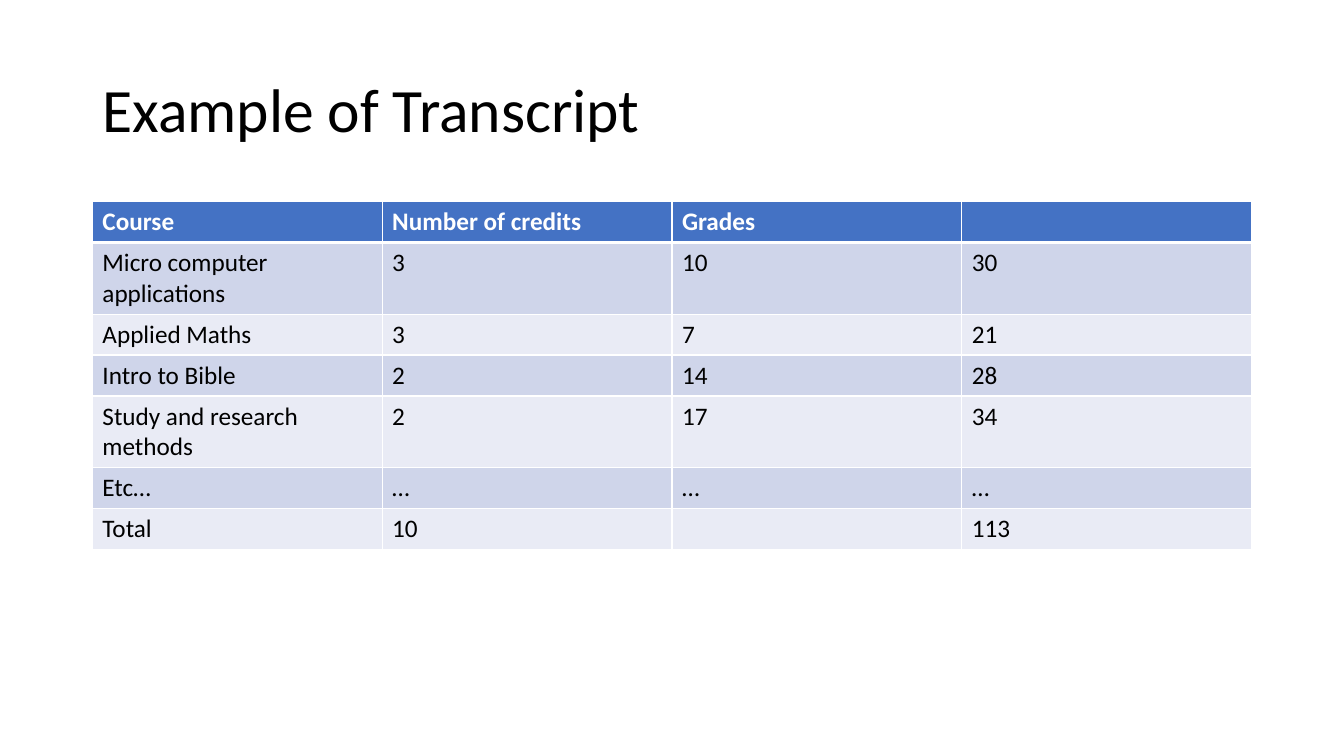
import dataclasses

import pptx
import pptx.dml.color
import pptx.enum.text
import pptx.oxml
import pptx.oxml.ns
import pptx.util

EMU_PER_PX = 9525


@dataclasses.dataclass(frozen=True)
class Theme:
    font: str = "Calibri"
    title_size: int = 44
    table_size: int = 18
    text: str = "000000"
    white: str = "FFFFFF"
    header: str = "4472C4"
    bands: tuple = ("CFD5EA", "E9EBF5")
    thin_border: float = 0.96
    header_border: float = 3


def px(value):
    return pptx.util.Emu(value * EMU_PER_PX)


def rgb(value):
    return pptx.dml.color.RGBColor.from_string(value)


class SlideBuilder:
    def __init__(self, presentation, theme):
        self.theme = theme
        self.slide = presentation.slides.add_slide(presentation.slide_layouts[5])
        self.slide.background.fill.solid()
        self.slide.background.fill.fore_color.rgb = rgb(theme.white)

    def add_run(self, paragraph, text, size, color, bold=False):
        run = paragraph.add_run()
        run.text = text
        run.font.name = self.theme.font
        run.font.size = pptx.util.Pt(size)
        run.font.bold = bold
        run.font.color.rgb = rgb(color)

    def add_title(self, text, left, top, width, height):
        title = self.slide.shapes.title
        title.left, title.top = px(left), px(top)
        title.width, title.height = px(width), px(height)
        frame = title.text_frame
        frame.word_wrap = True
        frame.auto_size = pptx.enum.text.MSO_AUTO_SIZE.NONE
        frame.vertical_anchor = pptx.enum.text.MSO_ANCHOR.MIDDLE
        paragraph = frame.paragraphs[0]
        paragraph.alignment = pptx.enum.text.PP_ALIGN.LEFT
        paragraph.line_spacing = 0.9
        self.add_run(paragraph, text, self.theme.title_size, self.theme.text)

    def add_border(self, cell, side, width):
        namespace = pptx.oxml.ns.nsdecls("a")
        border = pptx.oxml.parse_xml(
            f'<a:{side} {namespace} w="{pptx.util.Pt(width)}">'
            f'<a:solidFill><a:srgbClr val="{self.theme.white}"/></a:solidFill>'
            f"</a:{side}>"
        )
        cell._tc.get_or_add_tcPr().append(border)

    def format_cell(self, cell, text, row_index):
        theme = self.theme
        is_header = row_index == 0
        thick_side = {0: "lnB", 1: "lnT"}.get(row_index)
        for side in ("lnL", "lnR", "lnT", "lnB"):
            width = theme.header_border if side == thick_side else theme.thin_border
            self.add_border(cell, side, width)
        cell.fill.solid()
        band = theme.bands[(row_index - 1) % len(theme.bands)]
        cell.fill.fore_color.rgb = rgb(theme.header if is_header else band)
        if text:
            color = theme.white if is_header else theme.text
            paragraph = cell.text_frame.paragraphs[0]
            self.add_run(paragraph, text, theme.table_size, color, is_header)

    def add_table(self, rows, left, top, width, row_height):
        frame = self.slide.shapes.add_table(
            len(rows), len(rows[0]), px(left), px(top), px(width), px(row_height * len(rows))
        )
        for row_index, values in enumerate(rows):
            for column_index, text in enumerate(values):
                self.format_cell(frame.table.cell(row_index, column_index), text, row_index)


TRANSCRIPT = [
    ("Course", "Number of credits", "Grades", ""),
    ("Micro computer applications", "3", "10", "30"),
    ("Applied Maths", "3", "7", "21"),
    ("Intro to Bible", "2", "14", "28"),
    ("Study and research methods", "2", "17", "34"),
    ("Etc…", "…", "…", "…"),
    ("Total", "10", "", "113"),
]


def main():
    presentation = pptx.Presentation()
    presentation.slide_width = px(1280)
    presentation.slide_height = px(720)
    builder = SlideBuilder(presentation, Theme())
    builder.add_title("Example of Transcript", 88, 38, 1104, 139)
    builder.add_table(TRANSCRIPT, 88, 192, 1104, 39)
    presentation.save("out.pptx")


if __name__ == "__main__":
    main()
